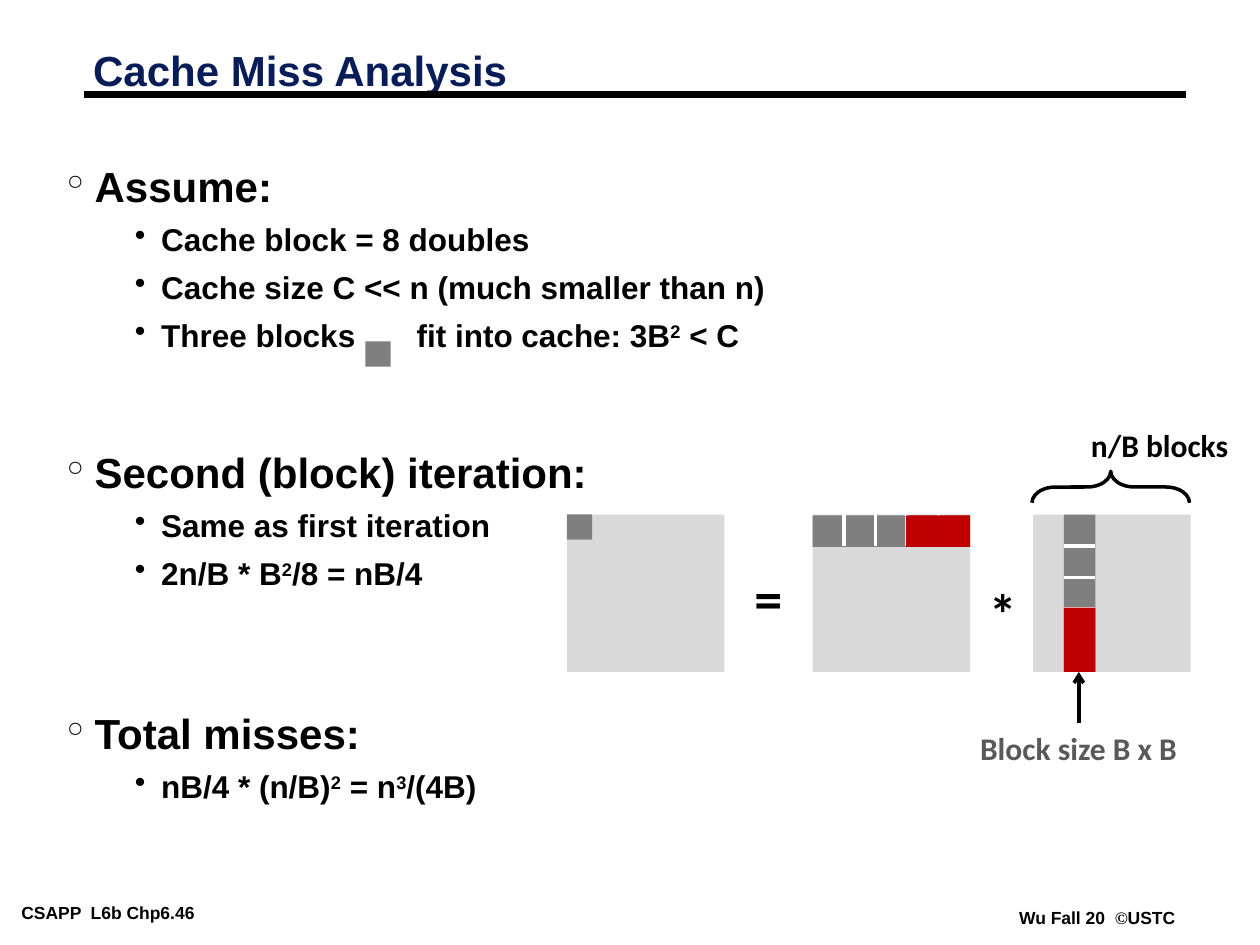
from dataclasses import dataclass

from lxml import etree
from pptx import Presentation
from pptx.dml.color import RGBColor
from pptx.enum.shapes import MSO_CONNECTOR, MSO_SHAPE
from pptx.enum.text import MSO_ANCHOR, MSO_AUTO_SIZE, PP_ALIGN
from pptx.oxml.ns import qn
from pptx.util import Pt

RECTANGLE = MSO_SHAPE.RECTANGLE
BRACE = MSO_SHAPE.LEFT_BRACE
STRAIGHT = MSO_CONNECTOR.STRAIGHT
MIDDLE = MSO_ANCHOR.MIDDLE
LEFT = PP_ALIGN.LEFT
NO_FIT = MSO_AUTO_SIZE.NONE

SUPERSCRIPT = {"baseline": "30000"}
WIDE = {"spc": "3000"}


@dataclass(frozen=True)
class Theme:
    font: str = "Arial"
    label_font: str = "Calibri"
    symbol_font: str = "Times New Roman"
    ink: str = "000000"
    title: str = "081D58"
    muted: str = "595959"
    matrix: str = "D9D9D9"
    block: str = "7F7F7F"
    missing: str = "C00000"
    gap: str = "FFFFFF"
    heading_size: int = 24
    item_size: int = 18
    operator_size: int = 32
    footer_size: int = 10


class SlideBuilder:
    def __init__(self, deck, theme):
        self.theme = theme
        self.slide = deck.slides.add_slide(deck.slide_layouts[5])

    def style(self, para, size, color, font):
        for run in para.runs:
            run.font.size = Pt(size)
            run.font.bold = True
            run.font.name = font
            run.font.color.rgb = RGBColor.from_string(color)

    def title(self, text, left, top, width, height):
        box = self.slide.shapes.title
        box.left, box.top, box.width, box.height = map(Pt, (left, top, width, height))
        frame = box.text_frame
        frame.text = text
        frame.auto_size = NO_FIT
        frame.vertical_anchor = MIDDLE
        para = frame.paragraphs[0]
        para.alignment = LEFT
        para.line_spacing = 0.87
        self.style(para, self.theme.heading_size, self.theme.title, self.theme.font)

    def label(self, pieces, left, top, width, height, size, color, font, margins=(7.2, 3.6)):
        box = self.slide.shapes.add_textbox(Pt(left), Pt(top), Pt(width), Pt(height))
        frame = box.text_frame
        frame.word_wrap = False
        frame.margin_left = frame.margin_right = Pt(margins[0])
        frame.margin_top = frame.margin_bottom = Pt(margins[1])
        para = frame.paragraphs[0]
        for piece in pieces:
            para.add_run().text = piece
        self.style(para, size, color, font)
        return para

    def outline(self, entries, left, top, width, height):
        box = self.slide.shapes.add_textbox(Pt(left), Pt(top), Pt(width), Pt(height))
        frame = box.text_frame
        frame.word_wrap = True
        for index, (level, before, pieces) in enumerate(entries):
            para = frame.add_paragraph() if index else frame.paragraphs[0]
            para.level = level
            para.line_spacing = (0.75, 0.85)[level]
            para.space_before = Pt(before)
            for text, attributes in pieces:
                run = para.add_run()
                run.text = text
                for name, value in attributes.items():
                    run.font._element.set(name, value)
            size = (self.theme.heading_size, self.theme.item_size)[level]
            self.style(para, size, self.theme.ink, self.theme.font)
            self.bullet(para, "°•"[level], (16, 54)[level], (16, 15)[level])

    def bullet(self, para, symbol, margin, hanging):
        properties = para._p.get_or_add_pPr()
        properties.set("marL", str(Pt(margin)))
        properties.set("indent", str(-Pt(hanging)))
        color = etree.SubElement(properties, qn("a:buClr"))
        etree.SubElement(color, qn("a:srgbClr")).set("val", self.theme.ink)
        etree.SubElement(properties, qn("a:buChar")).set("char", symbol)

    def rectangle(self, left, top, width, height, color):
        shape = self.slide.shapes.add_shape(RECTANGLE, Pt(left), Pt(top), Pt(width), Pt(height))
        shape.shadow.inherit = False
        shape.fill.solid()
        shape.fill.fore_color.rgb = RGBColor.from_string(color)
        shape.line.fill.background()

    def line(self, start, end, color, weight=2, arrow=False):
        connector = self.slide.shapes.add_connector(STRAIGHT, *map(Pt, (*start, *end)))
        connector.line.color.rgb = RGBColor.from_string(color)
        connector.line.width = Pt(weight)
        if arrow:
            outline = connector.line._get_or_add_ln()
            etree.SubElement(outline, qn("a:tailEnd")).set("type", "arrow")
        etree.SubElement(connector._element.spPr, qn("a:effectLst"))

    def brace(self, left, top, width, height):
        shape = self.slide.shapes.add_shape(BRACE, Pt(left), Pt(top), Pt(width), Pt(height))
        shape.rotation = 90
        shape.adjustments[0] = 0.75
        shape.shadow.inherit = False
        shape.fill.background()
        shape.line.color.rgb = RGBColor.from_string(self.theme.ink)
        shape.line.width = Pt(2)


def item(*pieces):
    return 1, 9, [piece if isinstance(piece, tuple) else (piece, {}) for piece in pieces]


def heading(text, before):
    return 0, before, [(text, {})]


def main():
    theme = Theme()
    deck = Presentation()
    deck.slide_width, deck.slide_height = Pt(720), Pt(540)
    page = SlideBuilder(deck, theme)
    squared = ("2", SUPERSCRIPT)

    footer = (theme.footer_size, theme.ink, theme.font, (5, 2.2))
    page.label(["CSAPP  L6b Chp6.46"], 7.2, 513.4, 146, 16, *footer)
    credit = page.label(["Wu Fall 20  ", "©", "USTC"], 577.4, 516.2, 99.4, 16, *footer)
    credit.runs[1].font.name = theme.symbol_font
    page.line((48, 54), (678, 54), theme.ink, 4.5)
    page.title("Cache Miss Analysis", 46, 26, 598, 32.4)

    page.outline([
        heading("Assume:", 19.5),
        item("Cache block = 8 doubles"),
        item("Cache size C << n (much smaller than n)"),
        item("Three blocks", (" ", WIDE), "fit into cache: 3B", squared, " < C"),
        heading("Second (block) iteration:", 59.7),
        item("Same as first iteration"),
        item("2n/B * B", squared, "/8 = nB/4"),
        heading("Total misses:", 72.7),
        item("nB/4 * (n/B)", squared, " = n", ("3", SUPERSCRIPT), "/(4B)"),
    ], 31, 95, 622, 420.5)

    side, block, top = 90, 18, 294
    result, row_left, right = 324, 464.4, 590.4
    column = right + block - 0.5
    for left in (result, row_left, right):
        page.rectangle(left, top, side, side, theme.matrix)
    operator = (theme.operator_size, theme.ink, theme.label_font)
    page.label(["="], 424, 318.2, 30, 46, *operator)
    page.label(["*"], 558, 327, 30, 46, *operator)

    for left, start in ((result, top), (208.8, 195.1)):
        page.rectangle(left, start, 14.4, 14.4, theme.block)
    page.rectangle(row_left, top + 0.5, side, block, theme.block)
    page.rectangle(column, top, block, side, theme.block)
    for step in range(1, 5):
        x, y = row_left + step * block, top + step * block
        page.line((x, top), (x, top + block), theme.gap)
        page.line((column, y), (column + block, y), theme.gap)
    half = 36.8
    page.rectangle(row_left + side - half, top + 0.5, half, block, theme.missing)
    page.rectangle(column, top + side - half, block, half, theme.missing)

    label = (theme.item_size, theme.label_font)
    page.label(["Block size B x B"], 553, 413.3, 127.4, 29, label[0], theme.muted, label[1])
    page.line((616.5, 413.3), (616.5, 384), theme.ink, arrow=True)
    page.brace(625.7, 233.3, 18, 90)
    page.label(["n/B blocks"], 616.3, 239.8, 93, 29, label[0], theme.ink, label[1])

    deck.save("out.pptx")


if __name__ == "__main__":
    main()
